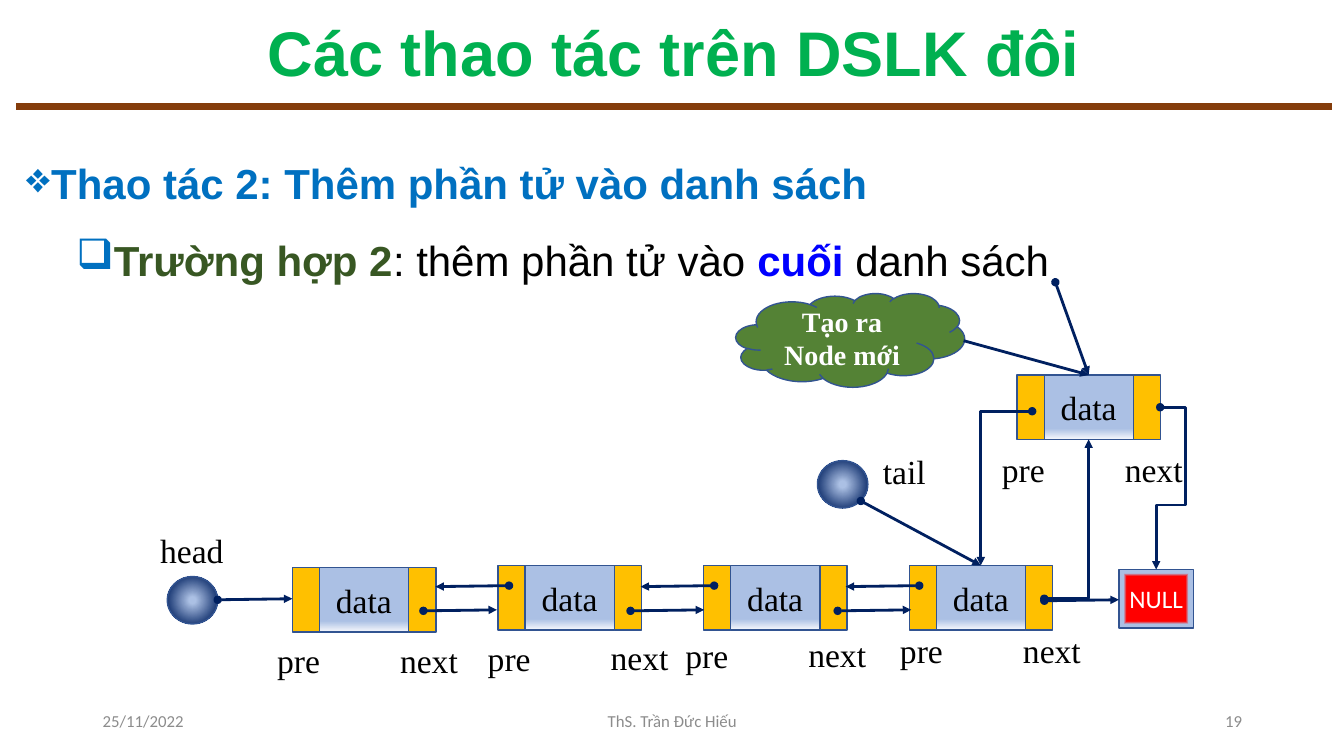
"""Build the slide on appending a node to a doubly linked list."""
from lxml.etree import SubElement
from pptx import Presentation
from pptx.dml.color import RGBColor
from pptx.enum.shapes import MSO_CONNECTOR, MSO_SHAPE
from pptx.enum.text import MSO_ANCHOR, PP_ALIGN
from pptx.oxml.ns import qn
from pptx.util import Inches, Pt

SERIF, SANS, FOOT = "Times New Roman", "Arial", "Calibri"
NAVY, OUTLINE, GOLD, BLUE, BLACK, WHITE = "002060", "325491", "FFC000", "0070C0", "000000", "FFFFFF"
BALL = [(10, "ABC0E4"), (85, NAVY), (100, "ABC0E4")]
DATA = [(74, "ABC0E4"), (83, "ABC0E4"), (100, "F6F8FC")]
NULL = [(77, "FF0000"), (87, "ABC0E4"), (100, "ABC0E4")]
NODE_STEP, FORWARD_STEP, BACK_STEP = 20.4, 20.55, 20.35


def grid(*cells):
    """Turn columns and rows of a tenth of an inch into lengths."""
    return [Inches(cell / 10) for cell in cells]


def colour(value):
    """Read a hex string as a colour."""
    return RGBColor.from_string(value)


def add_run(paragraph, words, size, font, ink, bold=False):
    """Append one styled run."""
    run = paragraph.add_run()
    run.text = words
    run.font.size, run.font.name, run.font.bold = Pt(size), font, bold
    run.font.color.rgb = colour(ink)


def add_text(slide, area, words, size, font, ink, align=PP_ALIGN.LEFT, bold=False,
             anchor=MSO_ANCHOR.MIDDLE, wrap=True):
    """Add a text box holding one line and return its paragraph."""
    frame = slide.shapes.add_textbox(*grid(*area)).text_frame
    frame.word_wrap, frame.vertical_anchor = wrap, anchor
    line = frame.paragraphs[0]
    line.alignment = align
    add_run(line, words, size, font, ink, bold)
    return line


def add_label(slide, left, top, words):
    """Name a pointer beside its cell."""
    width = {"head": 8.4, "next": 7.8}.get(words, 6.3)
    add_text(slide, (left, top, width, 5), words, 24, SERIF, BLACK,
             anchor=MSO_ANCHOR.TOP, wrap=False)


def add_bullet(paragraph, mark, ink, margin):
    """Give a paragraph a hanging bullet."""
    props = paragraph._p.get_or_add_pPr()
    props.set("marL", str(Inches(margin)))
    props.set("indent", str(Inches(-0.25)))
    SubElement(SubElement(props, qn("a:buClr")), qn("a:srgbClr"), val=ink)
    SubElement(props, qn("a:buChar"), char=mark)


def fill_gradient(shape, stops, shade=None):
    """Fill a shape with a vertical gradient, or one spreading from its centre."""
    shape.fill.gradient()
    gradient = shape._element.spPr.find(qn("a:gradFill"))
    for part in list(gradient):
        gradient.remove(part)
    stop_list = SubElement(gradient, qn("a:gsLst"))
    for share, ink in stops:
        stop = SubElement(stop_list, qn("a:gs"), pos=str(share * 1000))
        SubElement(stop, qn("a:srgbClr"), val=ink)
    if shade:
        centre = SubElement(gradient, qn("a:path"), {"path": shade})
        SubElement(centre, qn("a:fillToRect"), dict.fromkeys("ltrb", "50000"))
    else:
        SubElement(gradient, qn("a:lin"), ang="5400000", scaled="0")


def add_cell(slide, area, kind=MSO_SHAPE.RECTANGLE, paint=GOLD, shade=None):
    """Add an outlined shape with a plain or gradient fill."""
    cell = slide.shapes.add_shape(kind, *grid(*area))
    cell.shadow.inherit = False
    cell.line.color.rgb, cell.line.width = colour(OUTLINE), Pt(1)
    if isinstance(paint, str):
        cell.fill.solid()
        cell.fill.fore_color.rgb = colour(paint)
    else:
        fill_gradient(cell, paint, shade)
    return cell


def write_inside(shape, words, size, font, ink, bold=False, wrap=False):
    """Centre words in a shape."""
    frame = shape.text_frame
    frame.word_wrap, frame.vertical_anchor = wrap, MSO_ANCHOR.MIDDLE
    frame.paragraphs[0].alignment = PP_ALIGN.CENTER
    add_run(frame.paragraphs[0], words, size, font, ink, bold)


def add_node(slide, left, top, pre_at, next_at):
    """Draw a list node with its two pointer cells and their labels."""
    write_inside(add_cell(slide, (left + 2.65, top, 8.9, 6.4), paint=DATA),
                 "data", 24, SERIF, BLACK)
    for offset in (0, 11.55):
        add_cell(slide, (left + offset, top, 2.7, 6.4))
    add_label(slide, *pre_at, "pre")
    add_label(slide, *next_at, "next")


def add_ball(slide, left, top):
    """Draw a list pointer as a shaded ball."""
    add_cell(slide, (left, top, 5, 4.7), MSO_SHAPE.OVAL, BALL, "circle")


def add_line(slide, start, end, ink, width):
    """Draw a straight line without a shadow."""
    line = slide.shapes.add_connector(MSO_CONNECTOR.STRAIGHT, *grid(*start, *end))
    line.line.color.rgb, line.line.width = colour(ink), Pt(width)
    SubElement(line._element.spPr, qn("a:effectLst"))
    return line


def add_link(slide, *points, dot=True):
    """Draw an arrow through the points, with a dot where it starts."""
    if len(points) == 2:
        link = add_line(slide, *points, NAVY, 2)
    else:
        corners = [grid(*point) for point in points]
        builder = slide.shapes.build_freeform(*corners[0])
        builder.add_line_segments(corners[1:], close=False)
        link = builder.convert_to_shape()
        link.shadow.inherit = False
        link.fill.background()
        link.line.color.rgb, link.line.width = colour(NAVY), Pt(2)
    stroke = link._element.spPr.find(qn("a:ln"))
    if dot:
        SubElement(stroke, qn("a:headEnd"), type="oval")
    SubElement(stroke, qn("a:tailEnd"), type="triangle")


def add_heading(slide):
    """Write the title, its rule and the footer."""
    add_line(slide, (1.6, 10.6), (132.1, 10.6), "843C0B", 5)
    title = add_text(slide, (1.6, 1.5, 130.5, 8.1), "Các thao tác trên DSLK đôi", 45, SANS,
                     "00B050", PP_ALIGN.CENTER, True)
    title.line_spacing = 0.9
    for left, width, words, align in ((9.2, 30, "25/11/2022", PP_ALIGN.LEFT),
                                      (44.2, 45, "ThS. Trần Đức Hiếu", PP_ALIGN.CENTER),
                                      (94.2, 30, "19", PP_ALIGN.RIGHT)):
        add_text(slide, (left, 69.5, width, 4), words, 12, FOOT, "8C8C8C", align)


def add_body(slide):
    """Write the operation and the case it covers."""
    frame = slide.shapes.add_textbox(*grid(1.6, 13.6, 130.5, 60.5)).text_frame
    frame.word_wrap = True
    operation, case = frame.paragraphs[0], frame.add_paragraph()
    add_bullet(operation, "❖", BLUE, 0.25)
    operation.line_spacing = 1.3
    add_run(operation, "Thao tác 2: Thêm phần tử vào danh sách", 30, SANS, BLUE, True)
    add_bullet(case, "❑", BLUE, 0.75)
    case.level, case.alignment = 1, PP_ALIGN.JUSTIFY
    case.line_spacing, case.space_before = 1.4, Pt(5)
    for words, ink, bold in (("Trường hợp 2", "385723", True),
                             (": thêm phần tử vào ", BLACK, False),
                             ("cuối", "0000FF", True), (" danh sách", BLACK, False)):
        add_run(case, words, 30, SANS, ink, bold)


def add_list(slide):
    """Draw the linked list, the new node and all links."""
    write_inside(add_cell(slide, (111, 56.5, 7.4, 5.8), paint=NULL, shade="shape"),
                 "NULL", 18, FOOT, WHITE)
    add_ball(slide, 16.6, 57.2)
    add_label(slide, 14.9, 52.1, "head")
    add_ball(slide, 81.1, 45.7)
    add_label(slide, 86.6, 44.2, "tail")
    labels = (((26.5, 63), (38.7, 63)), ((47.4, 62.8), (59.6, 62.7)),
              ((67, 62.5), (79.2, 62.4)), ((88.3, 62), (100.5, 62)))
    for index, (pre_at, next_at) in enumerate(labels):
        add_node(slide, 29 + NODE_STEP * index, 56.1 if index else 56.3, pre_at, next_at)
    add_node(slide, 100.9, 37.2, (98.4, 44), (110.6, 44))
    cloud = add_cell(slide, (73, 29.1, 22.7, 9.3), MSO_SHAPE.CLOUD, "548235")
    write_inside(cloud, "Tạo ra Node mới", 20, SERIF, WHITE, True, True)
    for index in range(3):
        forward, back = FORWARD_STEP * index, BACK_STEP * index
        add_link(slide, (42 + forward, 60.6), (49.3 + forward, 60.5))
        add_link(slide, (50.5 + back, 58.1), (43.2 + back, 58.2))
    add_link(slide, (21.6, 59.5), (29, 59.4))
    add_link(slide, (85.4, 49.7), (97.3, 56.1))
    add_link(slide, (103.6, 59.6), (111, 59.5))
    add_link(slide, (104.7, 28), (108, 37.2))
    add_link(slide, (95.6, 33.8), (108, 37.2), dot=False)
    add_link(slide, (115.1, 40.4), (117.6, 40.4), (117.6, 50.1), (114.7, 50.1), (114.7, 56.5))
    add_link(slide, (102.4, 40.8), (97.3, 40.8), (97.3, 56.1))
    add_link(slide, (103.6, 59.4), (108, 59.4), (108, 43.6))


def main():
    """Build and save the slide."""
    deck = Presentation()
    deck.slide_width, deck.slide_height = grid(133.33, 75)
    slide = deck.slides.add_slide(deck.slide_layouts[6])
    add_heading(slide)
    add_body(slide)
    add_list(slide)
    deck.save("out.pptx")


if __name__ == "__main__":
    main()
